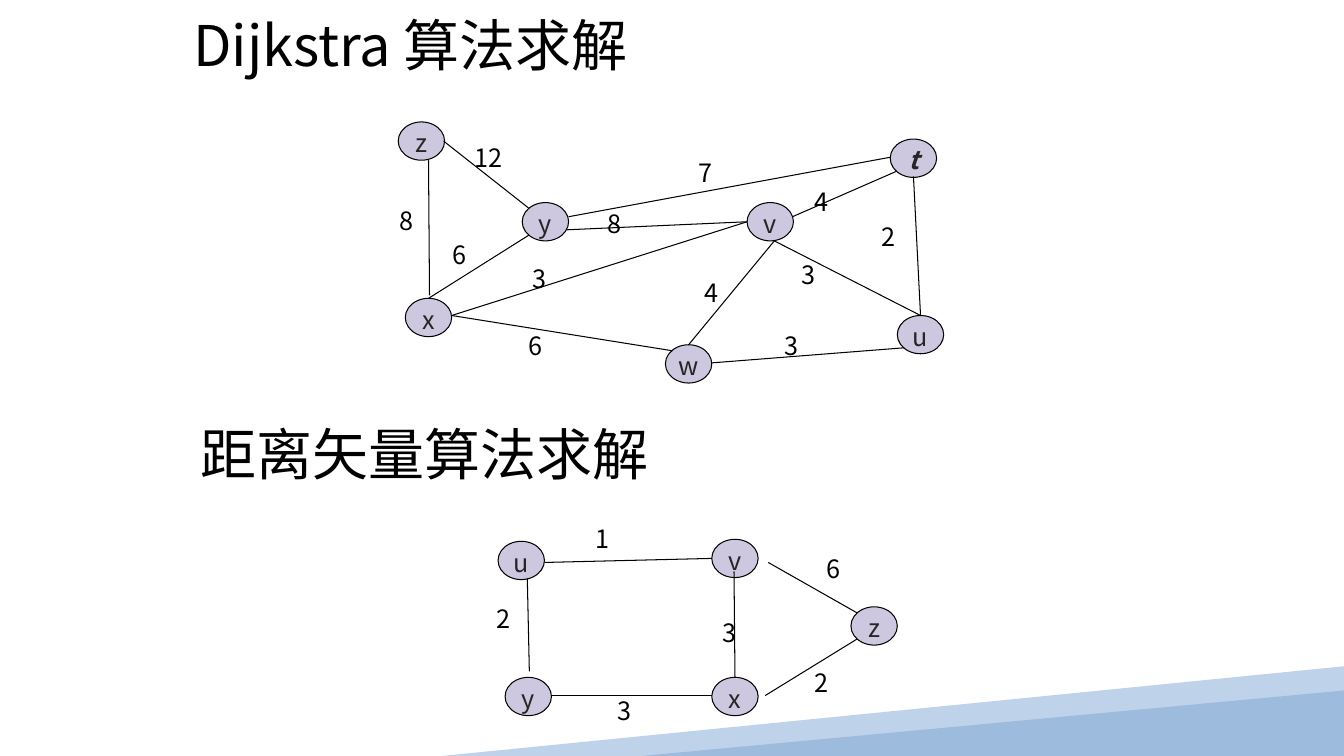
from dataclasses import dataclass

from lxml.etree import SubElement
from pptx import Presentation
from pptx.dml.color import RGBColor as RGB
from pptx.enum.shapes import MSO_CONNECTOR as LINE, MSO_SHAPE as SHAPE
from pptx.enum.text import MSO_ANCHOR as ANCHOR, PP_ALIGN as ALIGN
from pptx.oxml.ns import qn
from pptx.util import Inches, Pt


@dataclass(frozen=True)
class Theme:
    font: str = "Noto Sans CJK SC"
    black: str = "000000"
    dark: str = "262626"
    node: str = "CDC8DF"
    pale_band: str = "BED2E9"
    band: str = "9DBCDD"
    title: int = 40
    body: int = 18
    stroke: float = 0.75


class GraphSlide:
    """Draws graphs on one slide, on a grid of 75 rows and equally wide columns."""

    def __init__(self, prs, theme):
        self.s = prs.slides.add_slide(prs.slide_layouts[6])
        self.theme = theme
        self.unit = prs.slide_height / 75

    def grid(self, *cells):
        return [round(c * self.unit) for c in cells]

    def paint(self, sp, color):
        sp.shadow.inherit = False
        sp.fill.solid()
        sp.fill.fore_color.rgb = RGB.from_string(color)
        sp.line.fill.background()

    def ink(self, line):
        line.color.rgb = RGB.from_string(self.theme.black)
        line.width = Pt(self.theme.stroke)

    def add_run(self, tf, text, size, color, **style):
        r = tf.paragraphs[0].add_run()
        r.text = text
        for name, value in dict(name=self.theme.font, size=Pt(size), **style).items():
            setattr(r.font, name, value)
        r.font.color.rgb = RGB.from_string(color)
        SubElement(r.font._element, qn("a:ea"), typeface=self.theme.font)

    def outline(self, points, color):
        start, *rest = [self.grid(*point) for point in points]
        fb = self.s.shapes.build_freeform(*start)
        fb.add_line_segments(rest, close=True)
        self.paint(fb.convert_to_shape(), color)

    def triangle(self, x, y, w, h, color):
        sp = self.s.shapes.add_shape(SHAPE.ISOSCELES_TRIANGLE, *self.grid(x, y, w, h))
        sp.adjustments[0] = 1
        self.paint(sp, color)

    def node(self, text, x, y, **style):
        sp = self.s.shapes.add_shape(SHAPE.OVAL, *self.grid(x, y, 4.6, 3.8))
        self.paint(sp, self.theme.node)
        self.ink(sp.line)
        tf = sp.text_frame
        frame = dict(word_wrap=False, vertical_anchor=ANCHOR.TOP, margin_left=0,
                     margin_right=0, margin_top=0, margin_bottom=0)
        for name, value in frame.items():
            setattr(tf, name, value)
        tf.paragraphs[0].alignment = ALIGN.CENTER
        self.add_run(tf, text, self.theme.body, self.theme.dark, **style)

    def edge(self, *ends):
        cx = self.s.shapes.add_connector(LINE.STRAIGHT, *self.grid(*ends))
        self.ink(cx.line)
        SubElement(cx._element.spPr, qn("a:effectLst"))

    def text(self, text, x, y, w, h, size):
        tf = self.s.shapes.add_textbox(*self.grid(x, y, w, h)).text_frame
        tf.word_wrap = True
        self.add_run(tf, text, size, self.theme.black)

    def title(self, text, x, y):
        self.text(text, x, y, 50, 7.7, self.theme.title)

    def graph(self, nodes, edges, weights):
        for text, x, y, *style in nodes:
            self.node(text, x, y, **dict.fromkeys(style, True))
        for ends in edges:
            self.edge(*ends)
        for text, x, y in weights:
            self.text(text, x, y, 7.9, 4, self.theme.body)


DIJKSTRA = dict(
    nodes=[("z", 39.5, 12.1), ("y", 51.8, 20.1), ("x", 40.2, 29.6), ("v", 74.1, 20.1),
           ("t", 88.3, 13.8, "bold", "italic"), ("u", 89, 31.3), ("w", 66, 34.2)],
    edges=[(44, 14, 52.5, 20.7), (52.5, 23.3, 42.5, 29.6), (42.5, 15.9, 42.6, 29.3),
           (56.2, 22.8, 74.1, 22), (78.6, 21.5, 88.9, 17), (56.4, 21.5, 88.3, 15.6),
           (44.8, 31.3, 74.1, 22), (68.3, 34.2, 76.8, 23.9), (66.7, 34.8, 44.8, 31.3),
           (91.3, 31.3, 76.8, 23.9), (89.7, 34.5, 70.6, 36), (91.3, 31.3, 90.6, 17.5)],
    weights=[("12", 46.1, 13.6), ("8", 38.6, 19.9), ("6", 43.9, 23.3), ("3", 51.8, 25.6),
             ("6", 51.4, 32.3), ("4", 68.9, 27), ("3", 76.8, 32.3), ("3", 78.5, 25.2),
             ("2", 86.4, 21.5), ("4", 79.8, 18), ("8", 59.3, 20.2), ("7", 68.3, 15.1)],
)
DISTANCE_VECTOR = dict(
    nodes=[("u", 49.4, 53.7), ("v", 70.6, 53.5), ("y", 50.1, 67.2), ("x", 70.6, 67.2),
           ("z", 84.4, 60.2)],
    edges=[(54, 55.8, 70.6, 55.4), (52.3, 57.4, 52.5, 66.6), (72.8, 56.7, 72.9, 67.2),
           (54.7, 69, 70.6, 69), (76.2, 55.8, 85, 60.8), (75.9, 69, 85, 63.4)],
    weights=[("1", 58.1, 51.4), ("2", 48.3, 59.4), ("3", 60.3, 68.5), ("3", 70.7, 60.8),
             ("2", 79.8, 65.7), ("6", 81, 54.4)],
)


def main():
    prs = Presentation()
    prs.slide_width, prs.slide_height = Inches(13.33), Inches(7.5)
    theme = Theme()
    page = GraphSlide(prs, theme)
    page.outline([(133.3, 66.1), (133.3, 74.4), (89.7, 75), (43.8, 75)], theme.pale_band)
    page.triangle(63.6, 68.5, 69.7, 6.5, theme.band)
    page.graph(**DIJKSTRA)
    page.title("Dijkstra 算法求解", 18.2, 0.6)
    page.title("距离矢量算法求解", 18.9, 41.1)
    page.graph(**DISTANCE_VECTOR)
    prs.save("out.pptx")


if __name__ == "__main__":
    main()
